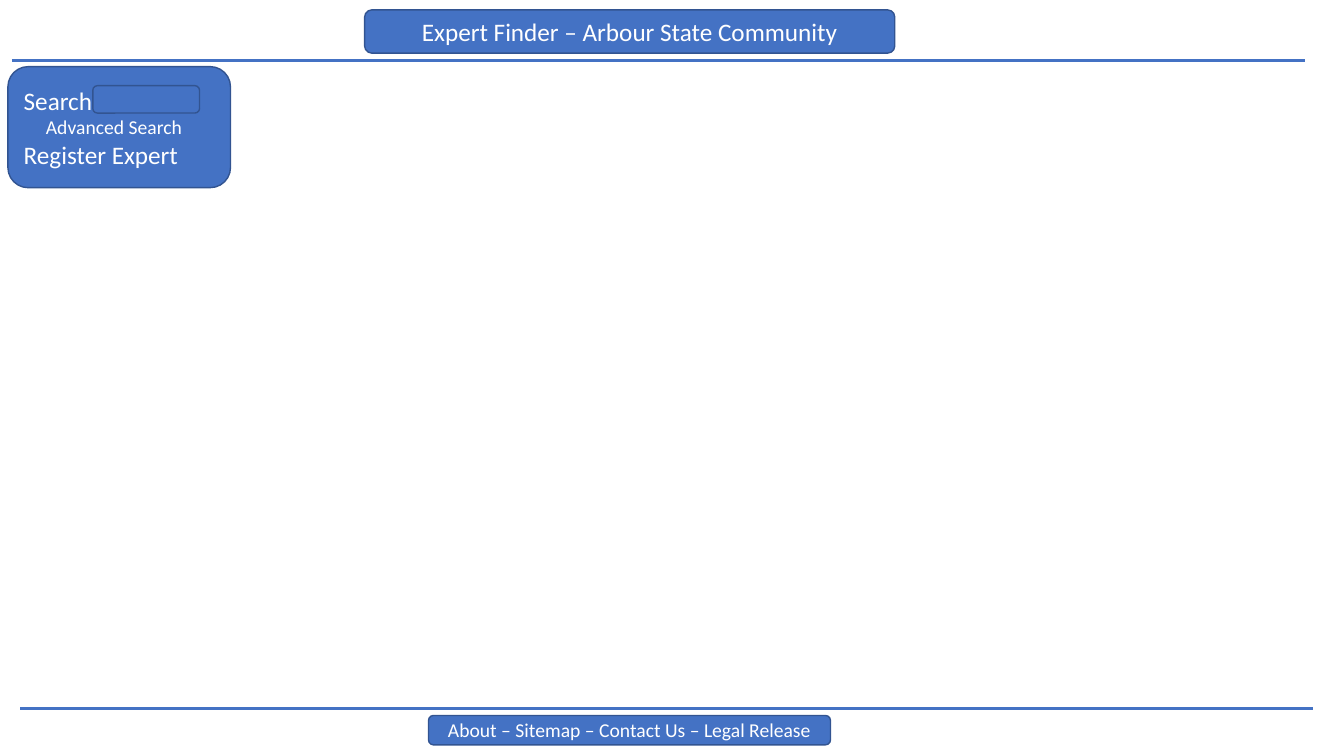
from dataclasses import dataclass

from lxml import etree
from pptx import Presentation
from pptx.dml.color import RGBColor
from pptx.enum.shapes import MSO_CONNECTOR, MSO_SHAPE
from pptx.enum.text import MSO_ANCHOR, PP_ALIGN
from pptx.oxml.ns import qn
from pptx.util import Cm, Pt

ROUNDED = MSO_SHAPE.ROUNDED_RECTANGLE
STRAIGHT = MSO_CONNECTOR.STRAIGHT
MIDDLE = MSO_ANCHOR.MIDDLE
LEFT, CENTER = PP_ALIGN.LEFT, PP_ALIGN.CENTER


@dataclass(frozen=True)
class Theme:
    accent: RGBColor = RGBColor(0x44, 0x72, 0xC4)
    border: RGBColor = RGBColor(0x32, 0x54, 0x91)
    text: RGBColor = RGBColor(0xFF, 0xFF, 0xFF)
    font: str = "Calibri"
    large: Pt = Pt(18)
    small: Pt = Pt(14)
    border_width: Pt = Pt(1)
    rule_width: Pt = Pt(2.25)


THEME = Theme()


def add_panel(slide, left, top, width, height):
    panel = slide.shapes.add_shape(ROUNDED, Cm(left), Cm(top), Cm(width), Cm(height))
    panel.shadow.inherit = False
    panel.fill.solid()
    panel.fill.fore_color.rgb = THEME.accent
    panel.line.color.rgb = THEME.border
    panel.line.width = THEME.border_width
    return panel


def write_lines(panel, lines, align):
    frame = panel.text_frame
    frame.word_wrap = True
    frame.vertical_anchor = MIDDLE
    frame.text = "\n".join(text for text, _, _ in lines)
    for paragraph, (_, size, indent) in zip(frame.paragraphs, lines):
        paragraph.alignment = align
        paragraph.font.name = THEME.font
        paragraph.font.size = size
        paragraph.font.color.rgb = THEME.text
        for run in paragraph.runs:
            run.font.name = THEME.font
            run.font.size = size
            run.font.color.rgb = THEME.text
        if indent:
            paragraph._p.get_or_add_pPr().set("marL", str(Cm(indent)))


def add_rule(slide, left, top, length):
    rule = slide.shapes.add_connector(STRAIGHT, Cm(left), Cm(top), Cm(left + length), Cm(top))
    rule.line.color.rgb = THEME.accent
    rule.line.width = THEME.rule_width
    etree.SubElement(rule._element.spPr, qn("a:effectLst"))


def main():
    deck = Presentation()
    deck.slide_width, deck.slide_height = Cm(33.87), Cm(19.05)
    slide = deck.slides.add_slide(deck.slide_layouts[6])

    menu = add_panel(slide, 0.2, 1.68, 5.61, 3.05)
    write_lines(menu, [
        ("Search", THEME.large, 0),
        ("Advanced Search", THEME.small, 0.56),
        ("Register Expert", THEME.large, 0),
    ], LEFT)
    add_panel(slide, 2.34, 2.16, 2.69, 0.69)

    add_rule(slide, 0.3, 1.52, 32.59)
    header = add_panel(slide, 9.19, 0.25, 13.36, 1.09)
    write_lines(header, [("Expert Finder – Arbour State Community", THEME.large, 0)], CENTER)

    add_rule(slide, 0.51, 17.86, 32.59)
    footer = add_panel(slide, 10.8, 18.03, 10.13, 0.74)
    write_lines(footer, [("About – Sitemap – Contact Us – Legal Release", THEME.small, 0)], CENTER)

    deck.save("out.pptx")


if __name__ == "__main__":
    main()
